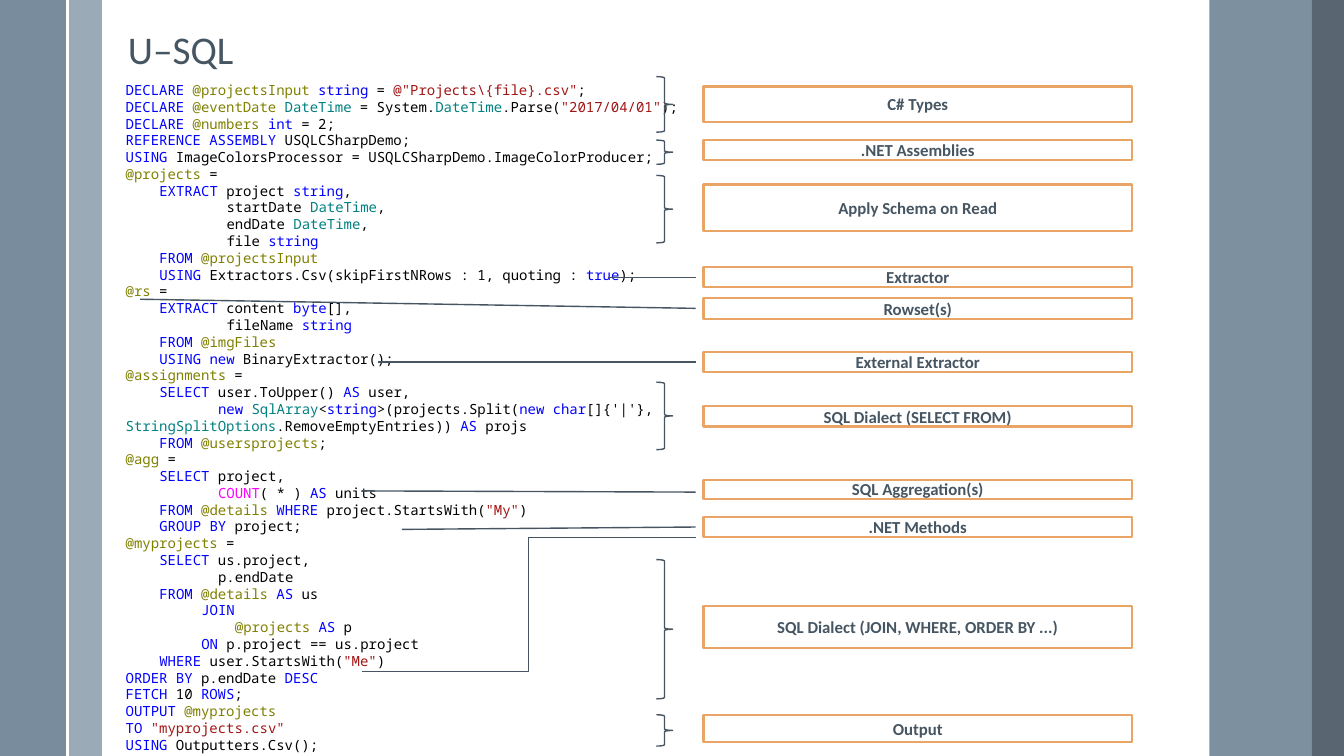
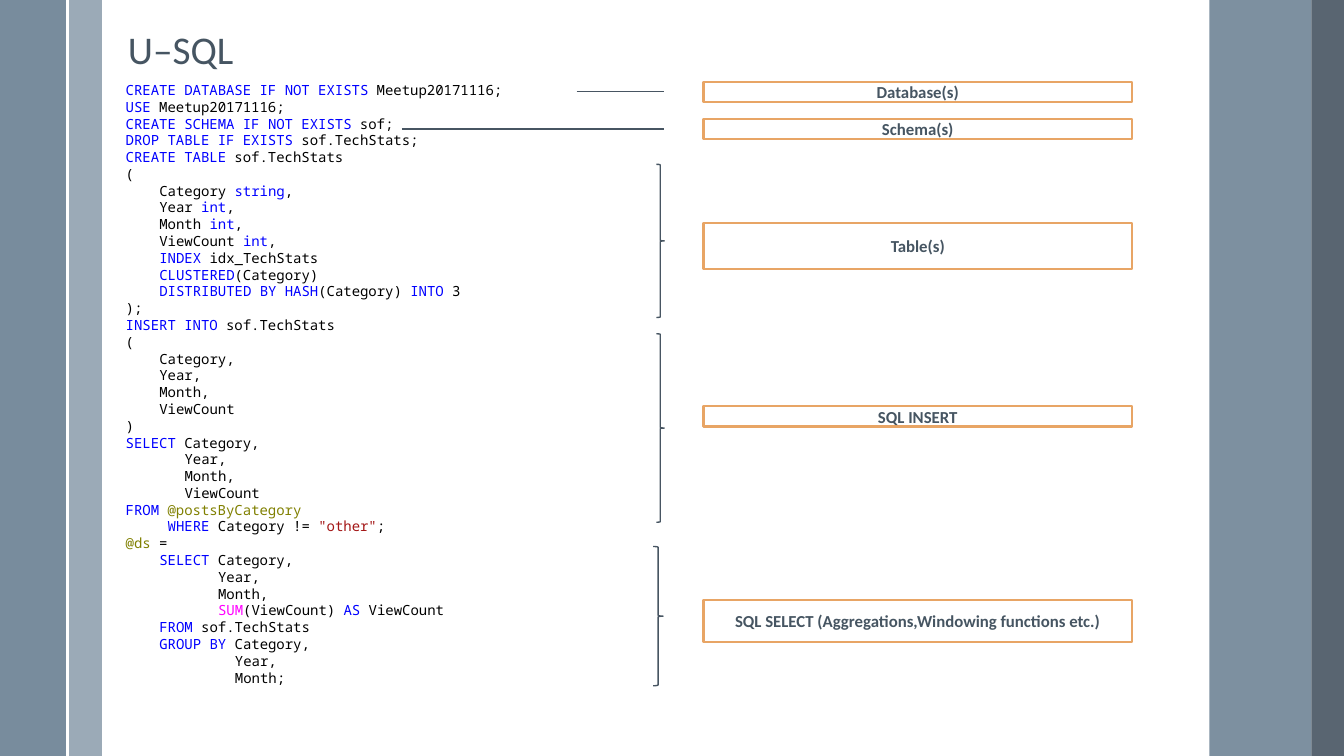
from dataclasses import dataclass
from itertools import groupby

from lxml import etree
from pptx import Presentation
from pptx.dml.color import RGBColor
from pptx.enum.shapes import MSO_CONNECTOR, MSO_SHAPE
from pptx.enum.text import MSO_ANCHOR, PP_ALIGN
from pptx.oxml.ns import qn
from pptx.util import Cm, Pt

RECTANGLE = MSO_SHAPE.RECTANGLE
LEFT_BRACE = MSO_SHAPE.LEFT_BRACE
STRAIGHT = MSO_CONNECTOR.STRAIGHT
ELBOW = MSO_CONNECTOR.ELBOW
TOP = MSO_ANCHOR.TOP
MIDDLE = MSO_ANCHOR.MIDDLE
LEFT = PP_ALIGN.LEFT
CENTER = PP_ALIGN.CENTER


def rgb(value):
    return RGBColor.from_string(value)


@dataclass(frozen=True)
class Theme:
    white: RGBColor = rgb("FFFFFF")
    ink: RGBColor = rgb("465562")
    slate: RGBColor = rgb("475562")
    steel: RGBColor = rgb("6A8093")
    mist: RGBColor = rgb("9BAAB7")
    accent: RGBColor = rgb("E8A565")
    plain: RGBColor = rgb("000000")
    keyword: RGBColor = rgb("0000FF")
    variable: RGBColor = rgb("808000")
    class_name: RGBColor = rgb("008080")
    string: RGBColor = rgb("A31515")
    function: RGBColor = rgb("FF00FF")
    text_font: str = "Calibri"
    code_font: str = "Noto Sans Mono"
    title_size: int = 28
    label_size: int = 12
    code_size: int = 10
    code_leading: int = 12
    code_advance: float = 6
    border: float = 1.5
    rule: float = 1


THEME = Theme()
SLIDE_WIDTH, SLIDE_HEIGHT = 33.87, 19.05
LABEL_LEFT, LABEL_WIDTH = 17.73, 10.8
BRACE_LEFT = 16.54
QUERY_BRACE_WIDTH = 0.41
TABLE_BRACE_WIDTH = 0.2
QUERY_RULE_END = 17.53
TABLE_RULE_END = 16.74

BANDS = [
    (1.73, 0.84, THEME.mist, 100),
    (0, 1.7, THEME.steel, 90),
    (30.48, 2.57, THEME.steel, 87),
    (33.05, 0.82, THEME.slate, 90),
]

FUNCTIONS = {"COUNT", "SUM"}
CLASS_NAMES = {"DateTime", "SqlArray", "StringSplitOptions"}
BUILT_INS = {"string", "int", "byte", "char", "new", "true"}

QUERY_CODE = [r"""
DECLARE @projectsInput string = @"Projects\{file}.csv";
DECLARE @eventDate DateTime = System.DateTime.Parse("2017/04/01");
DECLARE @numbers int = 2;
REFERENCE ASSEMBLY USQLCSharpDemo;
USING ImageColorsProcessor = USQLCSharpDemo.ImageColorProducer;
@projects =
    EXTRACT project string,
            startDate DateTime,
            endDate DateTime,
            file string
    FROM @projectsInput
    USING Extractors.Csv(skipFirstNRows : 1, quoting : true);
""", r"""
@rs =
    EXTRACT content byte[],
            fileName string
    FROM @imgFiles
    USING new BinaryExtractor();
@assignments =
    SELECT user.ToUpper() AS user,
           new SqlArray<string>(projects.Split(new char[]{'|'}, StringSplitOptions.RemoveEmptyEntries)) AS projs
    FROM @usersprojects;
""", r"""
@agg =
    SELECT project,
           COUNT( * ) AS units
    FROM @details WHERE project.StartsWith("My")
    GROUP BY project;
@myprojects =
    SELECT us.project,
           p.endDate
    FROM @details AS us
         JOIN
             @projects AS p
         ON p.project == us.project
    WHERE user.StartsWith("Me")
ORDER BY p.endDate DESC
FETCH 10 ROWS;
OUTPUT @myprojects
TO "myprojects.csv"
USING Outputters.Csv();
"""]

TABLE_CODE = [r"""
CREATE DATABASE IF NOT EXISTS Meetup20171116;
USE Meetup20171116;
CREATE SCHEMA IF NOT EXISTS sof;
DROP TABLE IF EXISTS sof.TechStats;
CREATE TABLE sof.TechStats
(
    Category string,
    Year int,
    Month int,
    ViewCount int,
    INDEX idx_TechStats
    CLUSTERED(Category)
    DISTRIBUTED BY HASH(Category) INTO 3
);
""", r"""
INSERT INTO sof.TechStats
(
    Category,
    Year,
    Month,
    ViewCount
)
SELECT Category,
       Year,
       Month,
       ViewCount
FROM @postsByCategory
     WHERE Category != "other";
@ds =
    SELECT Category,
           Year,
           Month,
           SUM(ViewCount) AS ViewCount
    FROM sof.TechStats
    GROUP BY Category,
             Year,
             Month;
"""]

QUERY_LABELS = [
    ("C# Types", 2.18, 0.89),
    (".NET Assemblies", 3.53, 0.51),
    ("Apply Schema on Read", 4.65, 1.17),
    ("Extractor", 6.73, 0.51),
    ("Rowset(s)", 7.52, 0.51),
    ("External Extractor", 8.86, 0.51),
    ("SQL Dialect (SELECT FROM)", 10.24, 0.51),
    ("SQL Aggregation(s)", 12.09, 0.48),
    (".NET Methods", 13.03, 0.51),
    ("SQL Dialect (JOIN, WHERE, ORDER BY ...)", 15.27, 1.07),
    ("Output", 18.01, 0.69),
]
QUERY_BRACES = [
    (BRACE_LEFT, top, QUERY_BRACE_WIDTH, height)
    for top, height in [(1.93, 1.4), (3.53, 0.61), (4.42, 1.7),
                        (9.63, 1.7), (14.1, 3.51), (18.01, 0.79)]
]
QUERY_RULES = [
    (STRAIGHT, 15.32, 6.99, QUERY_RULE_END, 6.99),
    (STRAIGHT, 3.53, 7.54, QUERY_RULE_END, 7.77),
    (STRAIGHT, 9.53, 9.12, QUERY_RULE_END, 9.12),
    (STRAIGHT, 9.12, 12.37, QUERY_RULE_END, 12.4),
    (STRAIGHT, 10.13, 13.34, QUERY_RULE_END, 13.28),
    (ELBOW, 9.12, 16.92, QUERY_RULE_END, 13.54),
]

TABLE_LABELS = [
    ("Database(s)", 2.06, 0.51),
    ("Schema(s)", 3, 0.51),
    ("Table(s)", 5.61, 1.17),
    ("SQL INSERT", 10.24, 0.51),
    ("SQL SELECT (Aggregations,Windowing functions etc.)", 15.11, 1.07),
]
TABLE_BRACES = [
    (BRACE_LEFT, 4.14, TABLE_BRACE_WIDTH, 3.86),
    (BRACE_LEFT, 8.41, TABLE_BRACE_WIDTH, 4.75),
    (16.46, 13.77, 0.25, 3.51),
]
TABLE_RULES = [
    (STRAIGHT, 14.53, 2.31, TABLE_RULE_END, 2.31),
    (STRAIGHT, 10.13, 3.25, TABLE_RULE_END, 3.25),
]


def add_run(paragraph, text, font, size, color, bold=False):
    run = paragraph.add_run()
    run.text = text
    run.font.name = font
    run.font.size = Pt(size)
    run.font.color.rgb = color
    run.font.bold = bold


def add_box(slide, preset, left, top, width, height):
    box = slide.shapes.add_shape(preset, Cm(left), Cm(top), Cm(width), Cm(height))
    box.shadow.inherit = False
    return box


def add_band(slide, left, width, color, opacity):
    band = add_box(slide, RECTANGLE, left, 0, width, SLIDE_HEIGHT)
    band.fill.solid()
    band.fill.fore_color.rgb = color
    band.line.fill.background()
    if opacity < 100:
        tint = next(band.element.iter(qn("a:srgbClr")))
        etree.SubElement(tint, qn("a:alpha")).set("val", str(opacity * 1000))
    return band


def add_rule(slide, kind, x1, y1, x2, y2, color=THEME.slate, weight=THEME.rule):
    rule = slide.shapes.add_connector(kind, Cm(x1), Cm(y1), Cm(x2), Cm(y2))
    rule.line.color.rgb = color
    rule.line.width = Pt(weight)
    etree.SubElement(rule.element.spPr, qn("a:effectLst"))
    return rule


def add_label(slide, text, top, height):
    label = add_box(slide, RECTANGLE, LABEL_LEFT, top, LABEL_WIDTH, height)
    label.fill.solid()
    label.fill.fore_color.rgb = THEME.white
    label.line.color.rgb = THEME.accent
    label.line.width = Pt(THEME.border)
    label.text_frame.vertical_anchor = MIDDLE
    paragraph = label.text_frame.paragraphs[0]
    paragraph.alignment = CENTER
    add_run(paragraph, text, THEME.text_font, THEME.label_size, THEME.ink, True)


def add_brace(slide, left, top, width, height):
    brace = add_box(slide, LEFT_BRACE, left, top, width, height)
    brace.rotation = 180
    brace.fill.background()
    brace.line.color.rgb = THEME.slate
    brace.line.width = Pt(THEME.rule)


def word_color(word):
    if word == "@":
        return THEME.string
    if word.startswith("@"):
        return THEME.variable
    if word in FUNCTIONS:
        return THEME.function
    if word in CLASS_NAMES:
        return THEME.class_name
    if word in BUILT_INS or (word.isalpha() and word.isupper()):
        return THEME.keyword
    return THEME.plain


def tokens(line):
    for index, part in enumerate(line.split('"')):
        if index % 2:
            yield f'"{part}"', THEME.string
        else:
            for _, letters in groupby(part, lambda c: c.isalnum() or c in "@_"):
                word = "".join(letters)
                yield word, word_color(word)


def add_code(slide, sections):
    listing = slide.shapes.add_textbox(Cm(2.92), Cm(1.93), Cm(16.92), Cm(17.1))
    frame = listing.text_frame
    frame.word_wrap = True
    lines = [line for section in sections for line in section.strip().splitlines()]
    for number, line in enumerate(lines):
        paragraph = frame.add_paragraph() if number else frame.paragraphs[0]
        paragraph.line_spacing = Pt(THEME.code_leading)
        statement = line.lstrip()
        indent = Pt((len(line) - len(statement)) * THEME.code_advance)
        paragraph._p.get_or_add_pPr().set("indent", str(indent))
        for color, group in groupby(tokens(statement), lambda token: token[1]):
            text = "".join(word for word, _ in group)
            add_run(paragraph, text, THEME.code_font, THEME.code_size, color)


def set_up_layout(layout):
    title = layout.placeholders[0]
    title.left, title.top, title.width, title.height = Cm(2.97), Cm(0.51), Cm(3.43), Cm(1.45)
    title.text_frame.vertical_anchor = TOP
    title.text_frame.word_wrap = False


def move_bands_to_master(slide, master):
    bands = [add_band(slide, *band) for band in BANDS]
    bands.append(add_rule(slide, STRAIGHT, 1.7, 0, 1.7, SLIDE_HEIGHT, THEME.white, THEME.border))
    first_placeholder = master.placeholders[0].element
    for number, band in enumerate(bands, start=100):
        next(band.element.iter(qn("p:cNvPr"))).set("id", str(number))
        first_placeholder.addprevious(band.element)


def add_code_slide(prs, layout, code, labels, braces, rules):
    slide = prs.slides.add_slide(layout)
    heading = slide.shapes.title.text_frame.paragraphs[0]
    heading.alignment = LEFT
    add_run(heading, "U–SQL", THEME.text_font, THEME.title_size, THEME.ink)
    add_code(slide, code)
    for adder, items in ((add_label, labels), (add_brace, braces), (add_rule, rules)):
        for item in items:
            adder(slide, *item)
    return slide


def main():
    prs = Presentation()
    prs.slide_width, prs.slide_height = Cm(SLIDE_WIDTH), Cm(SLIDE_HEIGHT)
    layout = prs.slide_layouts[5]
    set_up_layout(layout)
    query_slide = add_code_slide(prs, layout, QUERY_CODE, QUERY_LABELS, QUERY_BRACES, QUERY_RULES)
    move_bands_to_master(query_slide, prs.slide_master)
    add_code_slide(prs, layout, TABLE_CODE, TABLE_LABELS, TABLE_BRACES, TABLE_RULES)
    prs.save("out.pptx")


if __name__ == "__main__":
    main()
